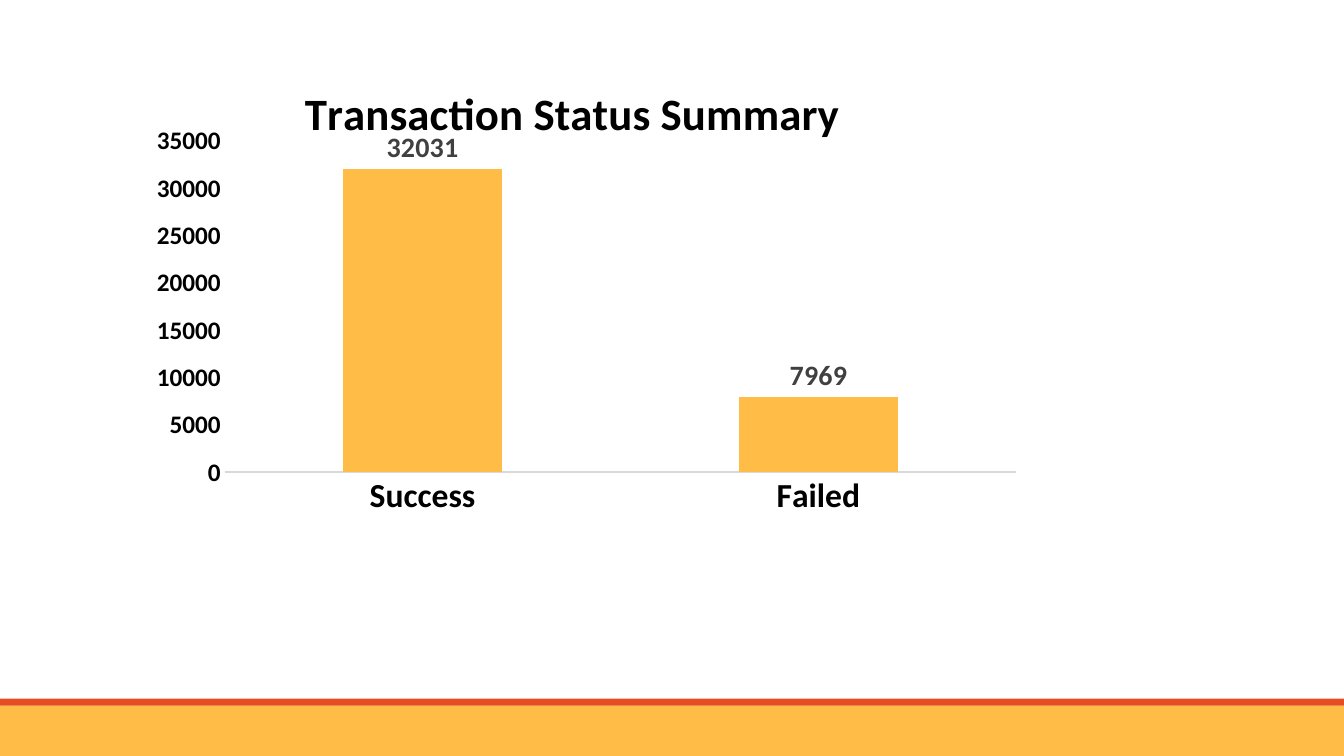
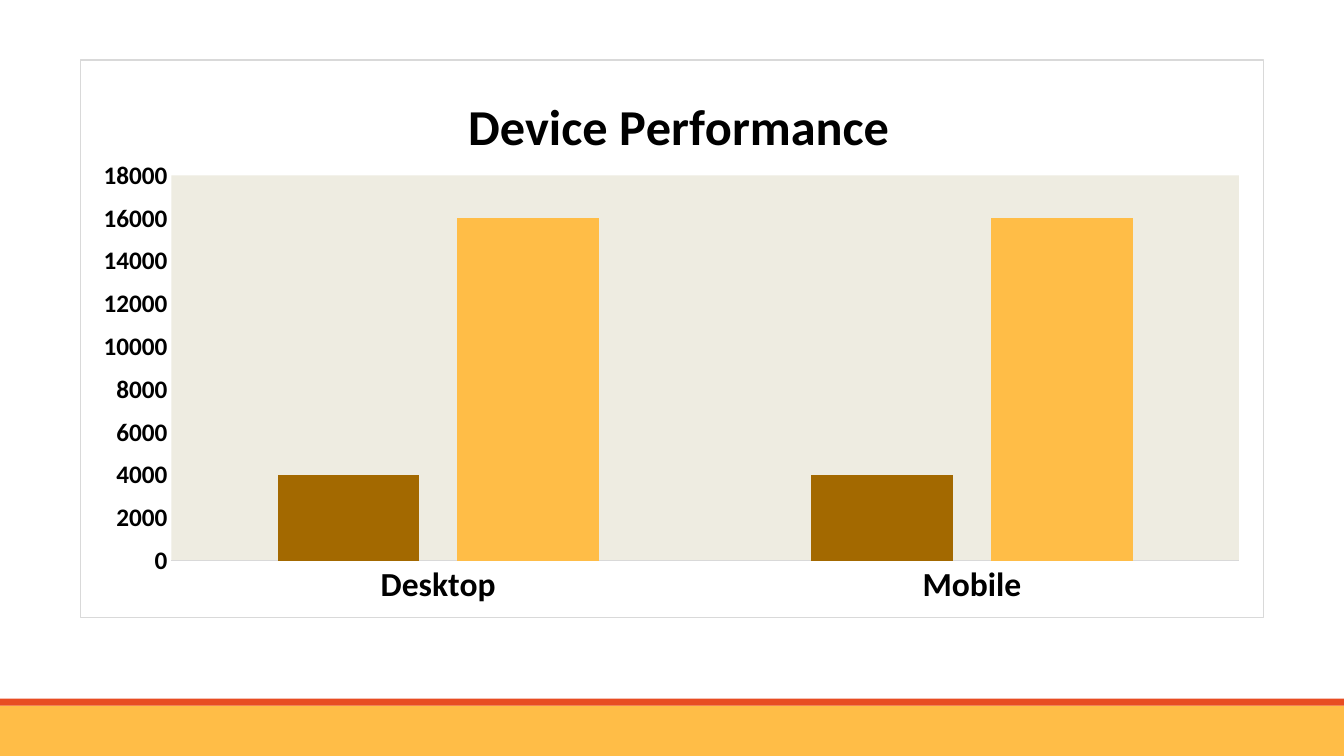
from lxml import etree
from pptx import Presentation
from pptx.chart import data as chart_data
from pptx.dml.color import RGBColor
from pptx.enum import chart as chart_enum, shapes
from pptx.oxml import ns
from pptx.util import Pt

WIDTH, HEIGHT = 960, 540
FONT = "Calibri"
BLACK, WHITE, GREY, RULE = "000000", "FFFFFF", "404040", "D9D9D9"
AMBER, RED, BROWN, CREAM = "FFBD47", "E84C22", "A36900", "EEECE1"


def color(value):
    """Turn a hex string into a colour."""
    return RGBColor.from_string(value)


def style_font(font, size, shade=BLACK, bold=True):
    """Set face, size, colour and weight."""
    font.name, font.size, font.bold = FONT, Pt(size), bold
    font.color.rgb = color(shade)


def add_master_band(page, top, height, fill):
    """Place a full-width band on the master."""
    band = page.shapes.add_shape(
        shapes.MSO_SHAPE.RECTANGLE, Pt(0), Pt(top), Pt(WIDTH), Pt(height))
    band.shadow.inherit = False
    band.fill.solid()
    band.fill.fore_color.rgb = color(fill)
    band.line.fill.background()
    master = page.slide_layout.slide_master
    master.element.cSld.spTree.append(band.element)


def make_layout(inner=False, **fractions):
    """Build a manual chart layout from fractions of the chart."""
    layout = etree.Element(ns.qn("c:layout"))
    manual = etree.SubElement(layout, ns.qn("c:manualLayout"))
    settings = {"layoutTarget": "inner"} if inner else {}
    settings.update(xMode="edge", yMode="edge", **fractions)
    for tag, value in settings.items():
        etree.SubElement(manual, ns.qn(f"c:{tag}")).set("val", str(value))
    return layout


def replace_layout(parent, layout, index):
    """Swap the layout of a chart part."""
    for old in parent.findall(ns.qn("c:layout")):
        parent.remove(old)
    parent.insert(index, layout)


def make_area_style(fill=None, border=None):
    """Build the fill and outline of a chart area."""
    style = etree.Element(ns.qn("c:spPr"))
    line = etree.Element(ns.qn("a:ln"), w=str(Pt(0.75)))
    for parent, shade in ((style, fill), (line, border)):
        if shade:
            solid = etree.SubElement(parent, ns.qn("a:solidFill"))
            etree.SubElement(solid, ns.qn("a:srgbClr")).set("val", shade)
        else:
            etree.SubElement(parent, ns.qn("a:noFill"))
    style.append(line)
    return style


def set_title(chart, wording, size, left, top):
    """Write the chart title at a fixed place."""
    chart.has_title = True
    title = chart.chart_title
    span = title.text_frame.paragraphs[0].add_run()
    span.text = wording
    style_font(span.font, size)
    title.include_in_layout = False
    replace_layout(title.element, make_layout(x=left, y=top), 1)


def style_axes(chart, top_value, step, rule_width):
    """Style both axes and scale the value axis."""
    for axis, size in ((chart.category_axis, 24), (chart.value_axis, 18)):
        axis.has_major_gridlines = False
        axis.major_tick_mark = chart_enum.XL_TICK_MARK.NONE
        axis.minor_tick_mark = chart_enum.XL_TICK_MARK.NONE
        style_font(axis.tick_labels.font, size)
    rule = chart.category_axis.format.line
    rule.color.rgb, rule.width = color(RULE), Pt(rule_width)
    values = chart.value_axis
    values.format.line.fill.background()
    values.minimum_scale, values.maximum_scale = 0, top_value
    values.major_unit = step


def add_column_chart(page, frame, categories, series, overlap, plot_box,
                     plot_fill=None, border=None):
    """Add a clustered column chart from (values, colour) series."""
    figures = chart_data.CategoryChartData()
    figures.categories = categories
    for number, (values, _) in enumerate(series, 1):
        figures.add_series(f"Series {number}", values)
    chart = page.shapes.add_chart(
        chart_enum.XL_CHART_TYPE.COLUMN_CLUSTERED,
        *map(Pt, frame), figures).chart
    style_font(chart.font, 10, bold=False)
    chart.has_legend = False
    plot = chart.plots[0]
    plot.gap_width, plot.overlap = 150, overlap
    plot.vary_by_categories = False
    for column, (_, fill) in zip(plot.series, series):
        column.format.fill.solid()
        column.format.fill.fore_color.rgb = color(fill)
    space = chart.element
    space.find(ns.qn("c:txPr")).addprevious(make_area_style(border=border))
    area = space.find(ns.qn("c:chart")).find(ns.qn("c:plotArea"))
    area.append(make_area_style(fill=plot_fill))
    layout = make_layout(inner=True, **dict(zip("xywh", plot_box)))
    replace_layout(area, layout, 0)
    return chart


def show_values(chart):
    """Label each column with its value."""
    labels = chart.plots[0].series[0].data_labels
    labels.show_value = True
    labels.position = chart_enum.XL_LABEL_POSITION.OUTSIDE_END
    style_font(labels.font, 20, GREY)


def add_page(deck):
    """Add a blank page with a white background."""
    page = deck.slides.add_slide(deck.slide_layouts[6])
    page.background.fill.solid()
    page.background.fill.fore_color.rgb = color(WHITE)
    return page


def build_status_page(page):
    """Show the counts by transaction status."""
    chart = add_column_chart(
        page, (47.5, 32.4, 715, 375), ["Success", "Failed"],
        [((32031, 7969), AMBER)], -24, (0.158, 0.182, 0.791, 0.631))
    set_title(chart, "Transaction Status Summary", 32, 0.23, 0.055)
    style_axes(chart, 35000, 5000, 1)
    show_values(chart)


def build_device_page(page):
    """Compare the two series by device."""
    chart = add_column_chart(
        page, (57, 42.5, 846, 399), ["Desktop", "Mobile"],
        [((4000, 4000), BROWN), ((16000, 16000), AMBER)], -27,
        (0.077, 0.207, 0.902, 0.691), CREAM, RULE)
    set_title(chart, "Device Performance", 36, 0.32, 0.04)
    style_axes(chart, 18000, 2000, 0.75)


def main():
    """Build and save the deck."""
    deck = Presentation()
    deck.slide_width, deck.slide_height = Pt(WIDTH), Pt(HEIGHT)
    status_page, device_page = add_page(deck), add_page(deck)
    add_master_band(status_page, 504, 36, AMBER)
    add_master_band(status_page, 499, 5, RED)
    build_status_page(status_page)
    build_device_page(device_page)
    deck.save("out.pptx")


if __name__ == "__main__":
    main()
